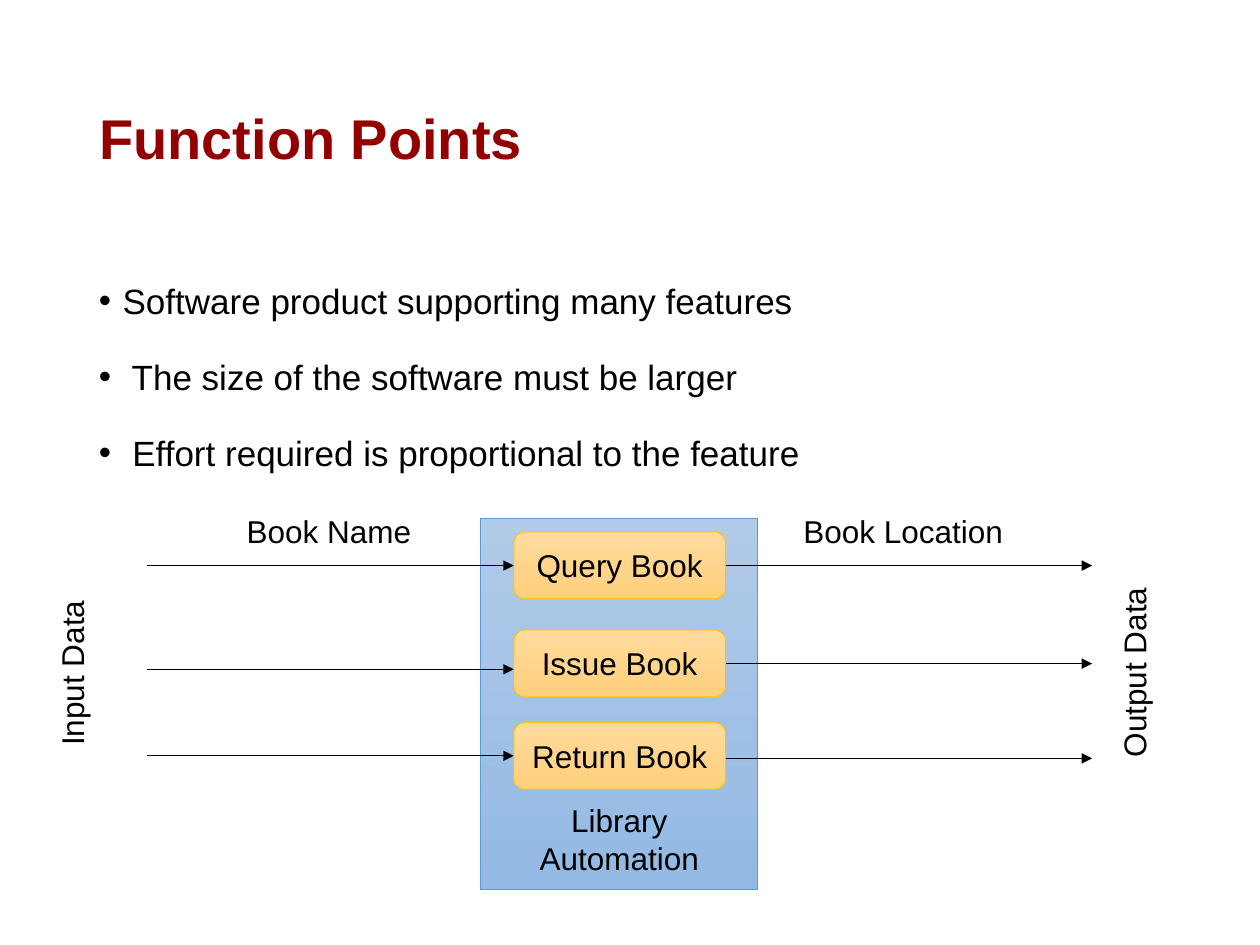
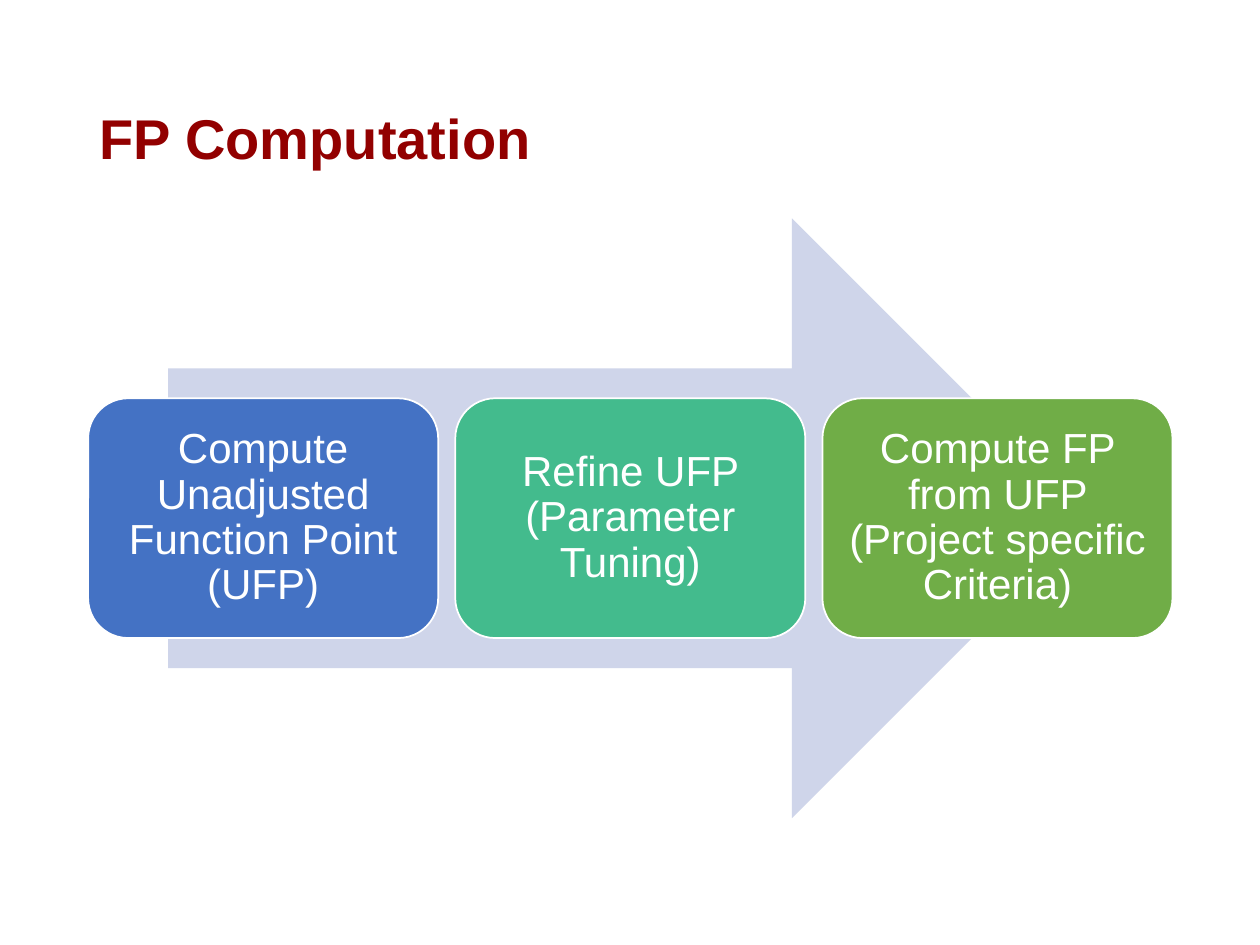
from lxml import etree
from pptx import Presentation
from pptx.dml.color import RGBColor
from pptx.enum.shapes import MSO_CONNECTOR, MSO_SHAPE
from pptx.enum.text import MSO_ANCHOR, MSO_AUTO_SIZE, PP_ALIGN
from pptx.oxml.ns import qn
from pptx.util import Pt

RECT, ROUND, ARROW = MSO_SHAPE.RECTANGLE, MSO_SHAPE.ROUNDED_RECTANGLE, MSO_SHAPE.RIGHT_ARROW
STRAIGHT = MSO_CONNECTOR.STRAIGHT
TOP, MIDDLE = MSO_ANCHOR.TOP, MSO_ANCHOR.MIDDLE
FIT, FIXED = MSO_AUTO_SIZE.SHAPE_TO_FIT_TEXT, MSO_AUTO_SIZE.NONE
LEFT, CENTER = PP_ALIGN.LEFT, PP_ALIGN.CENTER


def rgb(value):
    """Turn a hex string into a colour."""
    return RGBColor.from_string(value)


class Deck:
    """Hold the shared style and the current slide."""

    FONT, TITLE, INK, WHITE = "Arial", "920000", "000000", "FFFFFF"
    MARGIN, WIDTH = 49.5, 621

    def __init__(self):
        """Start an empty 10 by 7.5 inch presentation."""
        self.prs = Presentation()
        self.prs.slide_width, self.prs.slide_height = Pt(720), Pt(540)
        self.s = None

    def place(self, sp, box):
        """Move and size a shape."""
        sp.left, sp.top, sp.width, sp.height = map(Pt, box)

    def style(self, tf, size, color, align=LEFT, bold=False, spacing=None):
        """Format all paragraphs and runs of a frame."""
        for p in tf.paragraphs:
            p.alignment = align
            if spacing:
                p.line_spacing = spacing
            for r in p.runs:
                r.font.name, r.font.size, r.font.bold = self.FONT, Pt(size), bold
                r.font.color.rgb = rgb(color)

    def slide(self, title):
        """Add a slide with its title."""
        self.s = self.prs.slides.add_slide(self.prs.slide_layouts[5])
        sp = self.s.shapes.title
        self.place(sp, (self.MARGIN, 28.75, self.WIDTH, 104.4))
        tf = sp.text_frame
        tf.text = title
        tf.auto_size, tf.vertical_anchor = FIXED, MIDDLE
        self.style(tf, 32, self.TITLE, bold=True, spacing=0.9)

    def text(self, text, box, align=LEFT, wrap=False, upward=False):
        """Add a caption, optionally reading upwards."""
        tf = self.s.shapes.add_textbox(*map(Pt, box)).text_frame
        tf.text = text
        tf.word_wrap, tf.auto_size = wrap, FIT
        if upward:
            tf._bodyPr.set("vert", "vert270")
        self.style(tf, 18, self.INK, align)

    def bullets(self, items, box):
        """Add a bulleted list."""
        tf = self.s.shapes.add_textbox(*map(Pt, box)).text_frame
        tf.word_wrap, tf.vertical_anchor = True, TOP
        for i, item in enumerate(items):
            p = tf.paragraphs[0] if i == 0 else tf.add_paragraph()
            p.text = item
            p.space_before = Pt(7.5 if i else 0)
            pPr = p._p.get_or_add_pPr()
            pPr.set("marL", str(Pt(13.5)))
            pPr.set("indent", str(-Pt(13.5)))
            etree.SubElement(pPr, qn("a:buFont")).set("typeface", self.FONT)
            etree.SubElement(pPr, qn("a:buChar")).set("char", "•")
        self.style(tf, 20, self.INK, spacing=1.5)

    def shape(self, kind, box, fill, line=None, weight=0.5):
        """Add a shape with a solid fill or a (top, bottom) gradient."""
        sp = self.s.shapes.add_shape(kind, *map(Pt, box))
        sp.shadow.inherit = False
        if isinstance(fill, tuple):
            sp.fill.gradient()
            sp.fill.gradient_angle = 270
            for stop, color, position in zip(sp.fill.gradient_stops, fill, (0, 1)):
                stop.color.rgb, stop.position = rgb(color), position
        else:
            sp.fill.solid()
            sp.fill.fore_color.rgb = rgb(fill)
        if line:
            sp.line.color.rgb, sp.line.width = rgb(line), Pt(weight)
        else:
            sp.line.fill.background()
        return sp

    def label(self, sp, text, size, color, spacing=None, inset=3.6):
        """Write centred text in a shape."""
        tf = sp.text_frame
        tf.text = text
        tf.word_wrap, tf.vertical_anchor = True, MIDDLE
        tf.margin_top = tf.margin_bottom = Pt(inset)
        self.style(tf, size, color, CENTER, spacing=spacing)

    def arrow(self, x1, x2, y):
        """Add a horizontal arrow."""
        c = self.s.shapes.add_connector(STRAIGHT, Pt(x1), Pt(y), Pt(x2), Pt(y))
        c.line.color.rgb, c.line.width = rgb(self.INK), Pt(0.5)
        etree.SubElement(c.line._get_or_add_ln(), qn("a:tailEnd")).set("type", "triangle")
        etree.SubElement(c._element.spPr, qn("a:effectLst"))


def function_points(deck):
    """Build the slide on features and their data flow."""
    deck.slide("Function Points")
    deck.bullets(
        ["Software product supporting many features",
         " The size of the software must be larger",
         " Effort required is proportional to the feature"],
        (deck.MARGIN, 144, deck.WIDTH, 342.7))
    deck.shape(RECT, (274.7, 296, 158.4, 212.4), ("B1CBE9", "93B9E4"), "5B9BD5")
    deck.text("Library Automation", (287.7, 454.3, 132.5, 51), CENTER, wrap=True)
    left, width, height, reach = 293.6, 121, 38.2, 209.5
    features = [("Query Book", 304, 323.2, 323.2),
                ("Issue Book", 360, 382.5, 379.2),
                ("Return Book", 412.9, 431.9, 433.4)]
    for name, top, y_in, y_out in features:
        sp = deck.shape(ROUND, (left, top, width, height), ("FFDB9E", "FFD07C"), "FFC000")
        deck.label(sp, name, 18, deck.INK)
        deck.arrow(left - reach, left, y_in)
        deck.arrow(left + width, left + width + reach, y_out)
    deck.text("Input Data", (26.6, 342, 36, 91.4), upward=True)
    deck.text("Output Data", (633.6, 334.8, 36, 105.1), upward=True)
    deck.text("Book Name", (133.9, 288.9, 109.4, 29))
    deck.text("Book Location", (452, 288.9, 129.6, 29))


def fp_computation(deck):
    """Build the slide on the three computation steps."""
    deck.slide("FP Computation")
    deck.shape(ARROW, (96, 124.8, 527.9, 342.7), "CFD5EA")
    steps = [("Compute Unadjusted Function Point (UFP)", "4472C4"),
             ("Refine UFP (Parameter Tuning)", "43BB8D"),
             ("Compute FP from UFP (Project specific Criteria)", "70AD47")]
    for i, (name, color) in enumerate(steps):
        sp = deck.shape(ROUND, (50.4 + 209.8 * i, 227.6, 200, 137), color, deck.WHITE, 1)
        deck.label(sp, name, 24, deck.WHITE, spacing=0.9, inset=7.2)


def main():
    """Build and save the slides."""
    deck = Deck()
    function_points(deck)
    fp_computation(deck)
    deck.prs.save("out.pptx")


if __name__ == "__main__":
    main()
